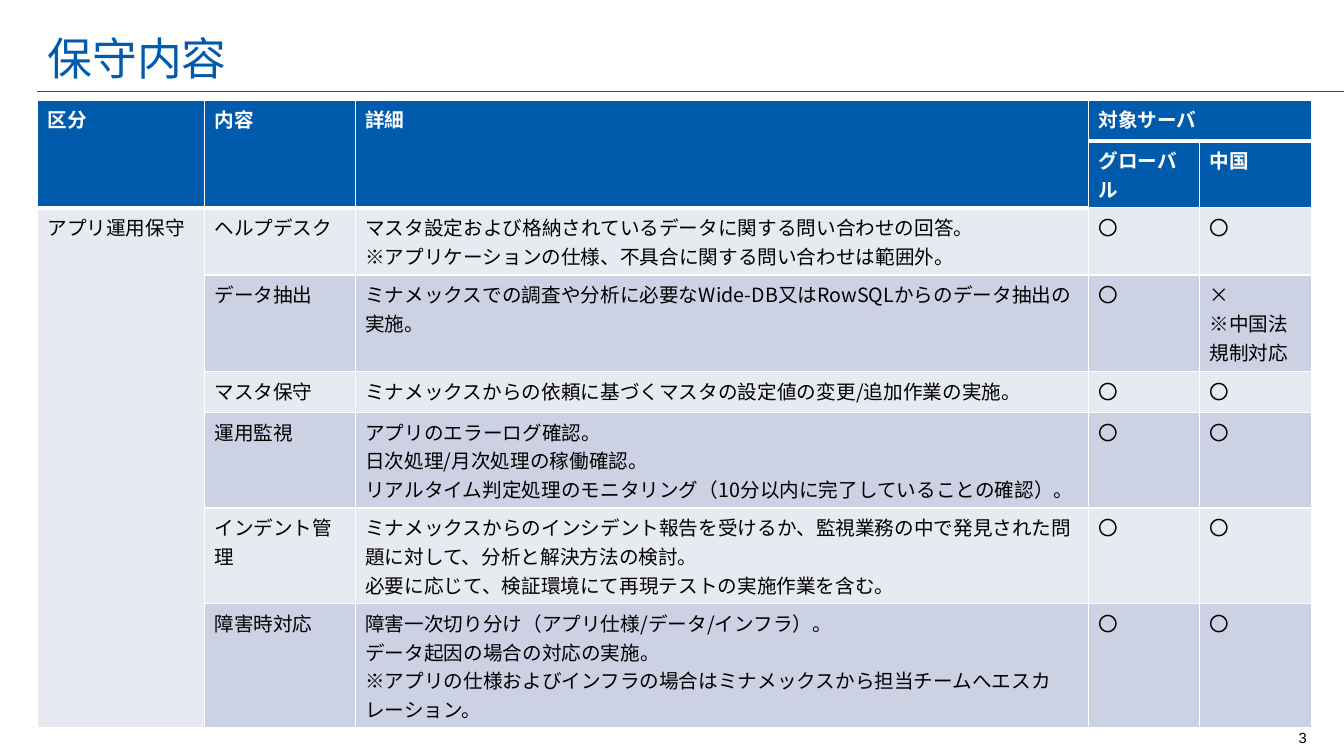
"""Build the maintenance scope slide with its table of target servers."""
import pptx
import pptx.dml.color
import pptx.enum.shapes
import pptx.enum.text
import pptx.oxml.ns
import pptx.util
import lxml.etree

Pt = pptx.util.Pt
RGBColor = pptx.dml.color.RGBColor
BLUE = RGBColor(0x00, 0x5B, 0xAC)
WHITE = RGBColor(0xFF, 0xFF, 0xFF)
BLACK = RGBColor(0x00, 0x00, 0x00)
LIGHT_BAND = RGBColor(0xE7, 0xEA, 0xF1)
DARK_BAND = RGBColor(0xCC, 0xD2, 0xE3)
CJK_FONT = "Noto Sans CJK JP"
LEFT = Pt(26.7)
ROW_HEIGHTS = [29.2, 47.8, 48, 68.8, 29.2, 68.4, 68.4, 88.6]
COLUMN_WIDTHS = [119.3, 107.8, 523.7, 79.4, 79.7]
ROWS = [
    ["区分", "内容", "詳細", "対象サーバ", ""],
    ["", "", "", "グローバル", "中国"],
    ["アプリ運用保守", "ヘルプデスク",
     "マスタ設定および格納されているデータに関する問い合わせの回答。\n"
     "※アプリケーションの仕様、不具合に関する問い合わせは範囲外。", "〇", "〇"],
    ["", "データ抽出",
     "ミナメックスでの調査や分析に必要なWide-DB又はRowSQLからのデータ抽出の実施。",
     "〇", "×\n※中国法規制対応"],
    ["", "マスタ保守",
     "ミナメックスからの依頼に基づくマスタの設定値の変更/追加作業の実施。", "〇", "〇"],
    ["", "運用監視",
     "アプリのエラーログ確認。\n日次処理/月次処理の稼働確認。\n"
     "リアルタイム判定処理のモニタリング（10分以内に完了していることの確認）。", "〇", "〇"],
    ["", "インデント管理",
     "ミナメックスからのインシデント報告を受けるか、監視業務の中で発見された問題に対して、"
     "分析と解決方法の検討。\n必要に応じて、検証環境にて再現テストの実施作業を含む。", "〇", "〇"],
    ["", "障害時対応",
     "障害一次切り分け（アプリ仕様/データ/インフラ）。\nデータ起因の場合の対応の実施。\n"
     "※アプリの仕様およびインフラの場合はミナメックスから担当チームへエスカレーション。",
     "〇", "〇"],
]
MERGES = [(0, 0, 1, 0), (0, 1, 1, 1), (0, 2, 1, 2), (0, 3, 0, 4), (2, 0, 7, 0)]


def format_text(frame, size, color, latin, bold=False):
    for para in frame.paragraphs:
        for span in para.runs:
            span.font.size = Pt(size)
            span.font.bold = bold
            span.font.color.rgb = color
            span.font.name = latin
            properties = span.font._element
            east_asian = lxml.etree.SubElement(properties, pptx.oxml.ns.qn("a:ea"))
            east_asian.set("typeface", CJK_FONT)


def add_border(cell, side, width):
    properties = cell._tc.get_or_add_tcPr()
    line = lxml.etree.SubElement(properties, pptx.oxml.ns.qn("a:ln" + side), w=str(Pt(width)))
    fill = lxml.etree.SubElement(line, pptx.oxml.ns.qn("a:solidFill"))
    lxml.etree.SubElement(fill, pptx.oxml.ns.qn("a:srgbClr"), val=str(WHITE))


deck = pptx.Presentation()
deck.slide_width, deck.slide_height = Pt(960), Pt(540)
page = deck.slides.add_slide(deck.slide_layouts[5])

rule = page.shapes.add_connector(
    pptx.enum.shapes.MSO_CONNECTOR.STRAIGHT, LEFT, Pt(65.5), Pt(960), Pt(65.5))
rule.line.color.rgb = BLUE
rule.line.width = Pt(1)
lxml.etree.SubElement(rule._element.spPr, pptx.oxml.ns.qn("a:effectLst"))

number = page.shapes.add_textbox(Pt(913), Pt(517), Pt(27.4), Pt(20.2))
number.text_frame.text = "3"
number.text_frame.word_wrap = False
number.text_frame.vertical_anchor = pptx.enum.text.MSO_ANCHOR.MIDDLE
number.text_frame.paragraphs[0].alignment = pptx.enum.text.PP_ALIGN.RIGHT
format_text(number.text_frame, 10.5, BLACK, "Arial")

title = page.shapes.title
title.left, title.top, title.width, title.height = LEFT, Pt(18.2), Pt(793.4), Pt(46.1)
title.text_frame.text = "保守内容"
title.text_frame.vertical_anchor = pptx.enum.text.MSO_ANCHOR.MIDDLE
title.text_frame.paragraphs[0].alignment = pptx.enum.text.PP_ALIGN.LEFT
title.text_frame.paragraphs[0].line_spacing = Pt(38)
format_text(title.text_frame, 32, BLUE, "Arial")

table = page.shapes.add_table(
    len(ROWS), len(COLUMN_WIDTHS), LEFT, Pt(71.5),
    Pt(sum(COLUMN_WIDTHS)), Pt(sum(ROW_HEIGHTS))).table
table.first_row = True
table.horz_banding = False
for column, width in zip(table.columns, COLUMN_WIDTHS):
    column.width = Pt(width)
for row, height in zip(table.rows, ROW_HEIGHTS):
    row.height = Pt(height)

for top, left, bottom, right in MERGES:
    table.cell(top, left).merge(table.cell(bottom, right))

for row_index, texts in enumerate(ROWS):
    header = row_index < 2
    band = BLUE if header else (LIGHT_BAND, DARK_BAND)[row_index % 2]
    for column_index, text in enumerate(texts):
        cell = table.cell(row_index, column_index)
        thick = row_index == 0 or (row_index == 1 and column_index < 3)
        add_border(cell, "L", 1)
        add_border(cell, "R", 1)
        if row_index == 0:
            add_border(cell, "T", 1)
        add_border(cell, "B", 3 if thick else 1)
        cell.fill.solid()
        cell.fill.fore_color.rgb = LIGHT_BAND if column_index == 0 and not header else band
        if text:
            cell.text_frame.text = text
            format_text(cell.text_frame, 14, WHITE if header else BLACK, CJK_FONT, header)

deck.save("out.pptx")
